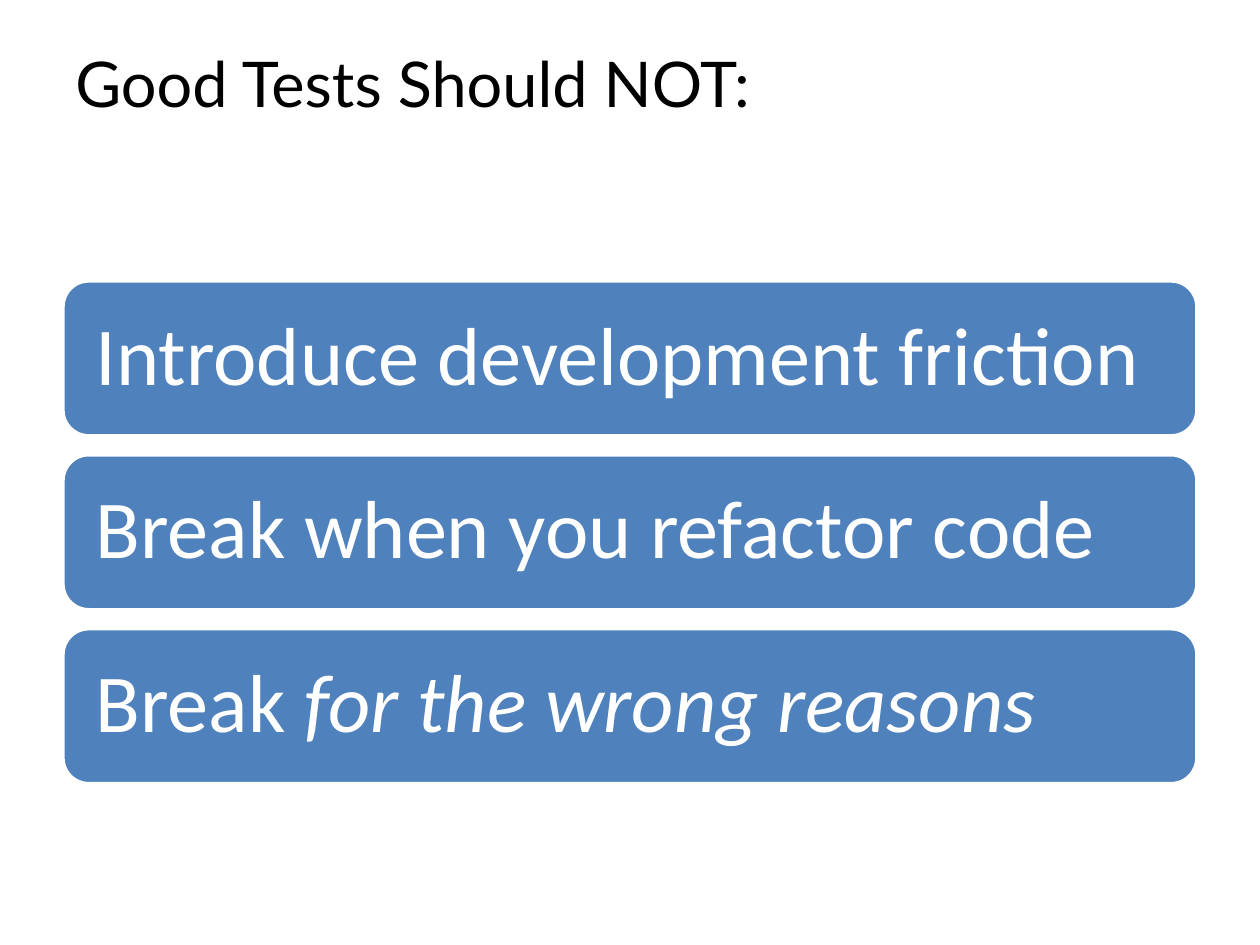
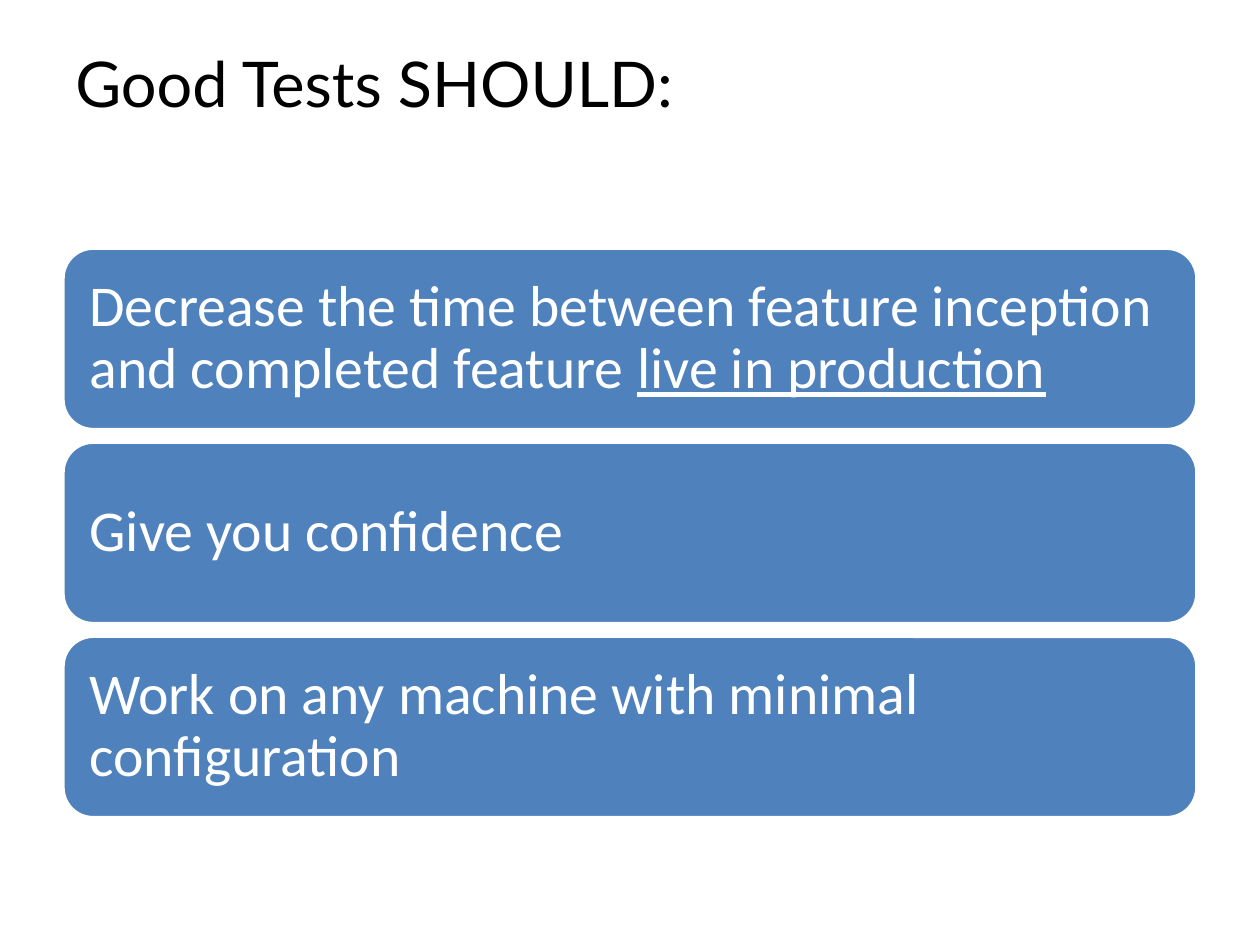
from dataclasses import dataclass

from pptx import Presentation
from pptx.dml.color import RGBColor
from pptx.enum.shapes import MSO_SHAPE
from pptx.enum.text import MSO_ANCHOR, PP_ALIGN
from pptx.util import Inches, Pt


@dataclass(frozen=True)
class Theme:
    black: RGBColor = RGBColor(0x00, 0x00, 0x00)
    white: RGBColor = RGBColor(0xFF, 0xFF, 0xFF)
    blue: RGBColor = RGBColor(0x4F, 0x81, 0xBD)
    title_font: str = "Lato"
    body_font: str = "Calibri"
    title_size: int = 36
    large_size: int = 47
    medium_size: int = 33


THEME = Theme()
LEFT, WIDTH = 0.5, 9


def write_text(frame, runs, *, font, size, color, anchor=MSO_ANCHOR.TOP,
               inset=(0.1, 0.05), line_spacing=1.0):
    frame.word_wrap = True
    frame.vertical_anchor = anchor
    frame.margin_left = frame.margin_right = Inches(inset[0])
    frame.margin_top = frame.margin_bottom = Inches(inset[1])
    paragraph = frame.paragraphs[0]
    paragraph.alignment = PP_ALIGN.LEFT
    paragraph.line_spacing = line_spacing
    for text, emphasis in runs:
        run = paragraph.add_run()
        run.text = text
        run.font.name = font
        run.font.size = Pt(size)
        run.font.color.rgb = color
        if emphasis == "italic":
            run.font.italic = True
        elif emphasis == "underline":
            run.font.underline = True


def add_title(slide, text):
    title = slide.shapes.add_textbox(
        Inches(LEFT), Inches(0.3), Inches(WIDTH), Inches(1.25))
    write_text(title.text_frame, [(text, None)], font=THEME.title_font,
               size=THEME.title_size, color=THEME.black)


def add_bar(slide, runs, top, height, size, inset):
    bar = slide.shapes.add_shape(
        MSO_SHAPE.ROUNDED_RECTANGLE,
        Inches(LEFT), Inches(top), Inches(WIDTH), Inches(height))
    bar.shadow.inherit = False
    bar.fill.solid()
    bar.fill.fore_color.rgb = THEME.blue
    bar.line.color.rgb = THEME.white
    bar.line.width = Pt(2)
    write_text(bar.text_frame, runs, font=THEME.body_font, size=size,
               color=THEME.white, anchor=MSO_ANCHOR.MIDDLE,
               inset=(inset, inset), line_spacing=0.9)


def add_statement_slide(deck, title, statements, *, top, height, gap, size, inset):
    slide = deck.slides.add_slide(deck.slide_layouts[6])
    add_title(slide, title)
    for row, runs in enumerate(statements):
        add_bar(slide, runs, top + row * (height + gap), height, size, inset)


def main():
    deck = Presentation()
    deck.slide_width, deck.slide_height = Inches(10), Inches(7.5)

    add_statement_slide(
        deck, "Good Tests Should NOT:",
        [
            [("Introduce development friction", None)],
            [("Break when you refactor code", None)],
            [("Break ", None), ("for the wrong reasons", "italic")],
        ],
        top=2.23, height=1.23, gap=0.15, size=THEME.large_size, inset=0.2)

    add_statement_slide(
        deck, "Good Tests SHOULD:",
        [
            [("Decrease the time between feature inception "
              "and completed feature ", None),
             ("live in production", "underline")],
            [("Give you confidence", None)],
            [("Work on any machine with minimal configuration", None)],
        ],
        top=1.97, height=1.44, gap=0.1, size=THEME.medium_size, inset=0.14)

    deck.save("out.pptx")


main()
